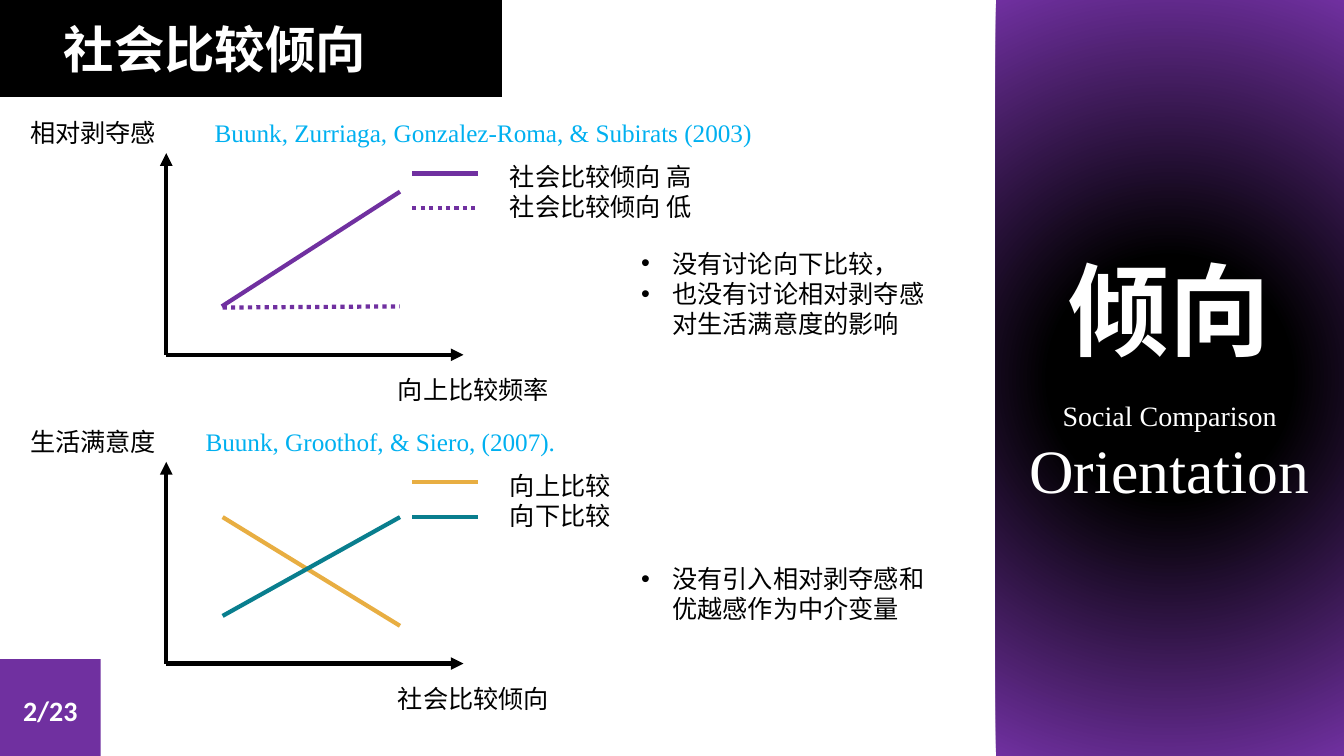
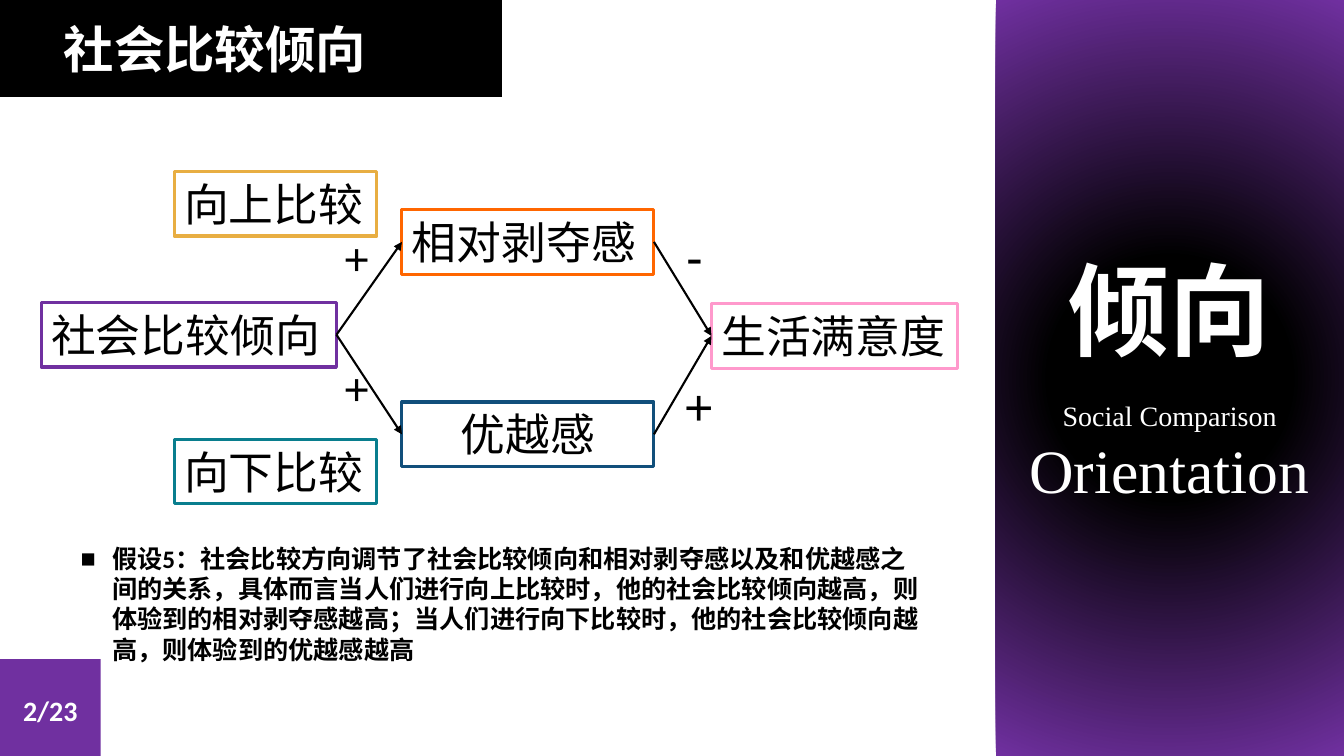
from lxml import etree
from pptx import Presentation
from pptx import util as u
from pptx.dml.color import RGBColor
from pptx.enum import dml, shapes, text
from pptx.oxml import ns

color = RGBColor.from_string
BLACK, WHITE, PURPLE = "000000", "FFFFFF", "7030A0"
GOLD, TEAL, SKY = "E8AE42", "097E8E", "00B0F0"

TITLE = {"size": u.Pt(36), "name": "Times New Roman", "bold": True, "color": WHITE}
NUMBER = {"size": u.Pt(20), "name": "Calibri", "bold": True, "color": WHITE}
LABEL = {"size": u.Pt(18), "name": "Calibri", "bold": False, "color": BLACK}
CITATION = {**LABEL, "name": "Times New Roman", "color": SKY}
HYPOTHESIS = {**LABEL, "bold": True}
NODE = {"size": u.Pt(32), "name": "Arial", "bold": False, "color": BLACK}
SIDE_STYLES = [
    {"size": u.Pt(72), "name": "Arial", "bold": True, "color": WHITE},
    {**TITLE, "size": u.Pt(20), "bold": False},
    {**TITLE, "size": u.Pt(44), "bold": False},
]


def write(box, at, lines, styles, align=text.PP_ALIGN.LEFT, bullet=None):
    """Place a box and fill it with one paragraph per line."""
    for side, length in zip(("left", "top", "width", "height"), at):
        setattr(box, side, u.Cm(length))
    frame = box.text_frame
    frame.word_wrap = True
    frame.auto_size = text.MSO_AUTO_SIZE.SHAPE_TO_FIT_TEXT
    frame.vertical_anchor = text.MSO_ANCHOR.TOP
    if isinstance(styles, dict):
        styles = [styles] * len(lines)
    for index, (line, style) in enumerate(zip(lines, styles)):
        para = frame.add_paragraph() if index else frame.paragraphs[0]
        para.alignment = align
        para.space_before = u.Pt(0)
        span = para.add_run()
        span.text = line
        for key, value in style.items():
            if key == "color":
                span.font.color.rgb = color(value)
            else:
                setattr(span.font, key, value)
        if bullet:
            props = para._p.get_or_add_pPr()
            props.set("marL", str(u.Cm(0.79)))
            props.set("indent", str(-u.Cm(0.79)))
            etree.SubElement(props, ns.qn("a:buFont"), typeface="Arial")
            etree.SubElement(props, ns.qn("a:buChar"), char=bullet)
    return box


def draw_line(page, points, hue, width, arrow=False, dotted=False):
    """Draw a straight line, with an arrowhead at its end on demand."""
    line = page.shapes.add_connector(shapes.MSO_CONNECTOR.STRAIGHT, *map(u.Cm, points))
    line.line.color.rgb = color(hue)
    line.line.width = u.Pt(width)
    if dotted:
        line.line.dash_style = dml.MSO_LINE.ROUND_DOT
    if arrow:
        etree.SubElement(line.get_or_add_ln(), ns.qn("a:tailEnd"), type="triangle")
    etree.SubElement(line.element.spPr, ns.qn("a:effectLst"))
    return line


deck = Presentation()
deck.slide_width, deck.slide_height = u.Cm(33.87), u.Cm(19.05)
graphs_page = deck.slides.add_slide(deck.slide_layouts[3])
model_page = deck.slides.add_slide(deck.slide_layouts[1])

# Bands, title, page number and side heading of both slides
BANDS = [
    ((0, 0, 12.65, 2.44), BLACK),
    ((25.1, 0, 8.77, 19.05), None),
    ((0, 16.61, 2.54, 2.44), PURPLE),
]
for page in (graphs_page, model_page):
    for at, hue in BANDS:
        band = page.shapes.add_shape(shapes.MSO_SHAPE.RECTANGLE, *map(u.Cm, at))
        band.shadow.inherit = False
        band.line.fill.background()
        if hue:
            band.fill.solid()
            band.fill.fore_color.rgb = color(hue)
            continue
        band.fill.gradient()
        for stop, (position, shade) in zip(band.fill.gradient_stops, [(0.29, BLACK), (1, PURPLE)]):
            stop.position = position
            stop.color.rgb = color(shade)
        linear = band.element.spPr.find(".//" + ns.qn("a:lin"))
        radial = etree.Element(ns.qn("a:path"), path="circle")
        etree.SubElement(radial, ns.qn("a:fillToRect"), l="50000", t="50000", r="50000", b="50000")
        linear.getparent().replace(linear, radial)

    title = page.shapes.title
    page.shapes.element.append(title.element)  # bring in front of the band
    write(title, (1.35, 0.33, 8.43, 1.8), ["社会比较倾向"], TITLE)
    center = text.PP_ALIGN.CENTER
    box = page.shapes.add_textbox(0, 0, 0, 0)
    write(box, (0, 17.35, 2.54, 1.12), ["2/23"], NUMBER, center)
    box = page.shapes.add_textbox(0, 0, 0, 0)
    write(box, (25.58, 6.12, 7.8, 6.81), ["倾向", "Social Comparison", "Orientation"], SIDE_STYLES, center)
    box.text_frame.paragraphs[1].line_spacing = u.Pt(45)

# Slide 1: two line graphs, one below the other
GRAPHS = [
    {
        "axes": ("相对剥夺感", "向上比较频率"),
        "legend": ["社会比较倾向 高", "社会比较倾向 低"],
        "series": [
            ((5.59, 7.72, 10.08, 4.83), PURPLE, False),
            ((5.61, 7.75, 10.08, 7.72), PURPLE, True),
        ],
        "citation": (5.16, "Buunk, Zurriaga, Gonzalez-Roma, & Subirats (2003)"),
    },
    {
        "axes": ("生活满意度", "社会比较倾向"),
        "legend": ["向上比较", "向下比较"],
        "series": [
            ((5.61, 5.25, 10.08, 7.99), GOLD, False),
            ((5.61, 7.74, 10.08, 5.25), TEAL, False),
        ],
        "citation": (4.93, "Buunk, Groothof, & Siero, (2007)."),
    },
]
for index, graph in enumerate(GRAPHS):
    top = index * 7.78
    base = top + 8.94
    draw_line(graphs_page, (4.19, base, 11.68, base), BLACK, 3, arrow=True)
    draw_line(graphs_page, (4.19, base, 4.19, top + 3.86), BLACK, 3, arrow=True)
    for row, ((x1, y1, x2, y2), hue, dotted) in enumerate(graph["series"]):
        key_y = top + 4.37 + row * 0.87
        draw_line(graphs_page, (10.39, key_y, 12.04, key_y), hue, 3, dotted=dotted)
        draw_line(graphs_page, (x1, top + y1, x2, top + y2), hue, 3, dotted=dotted)
    y_title, x_title = graph["axes"]
    cite_left, citation = graph["citation"]
    for at, lines, style in [
        ((0.51, top + 2.84, 3.96, 1.02), [y_title], LABEL),
        ((9.78, top + 9.32, 4.45, 1.02), [x_title], LABEL),
        ((12.6, top + 3.94, 5.28, 1.8), graph["legend"], LABEL),
        ((cite_left, top + 2.83, 14.35, 1.02), [citation], CITATION),
    ]:
        write(graphs_page.shapes.add_textbox(0, 0, 0, 0), at, lines, style)

# Slide 1: remarks beside the graphs
REMARKS = [
    (6.12, 2.57, ["没有讨论向下比较，", "也没有讨论相对剥夺感对生活满意度的影响"]),
    (14.07, 1.8, ["没有引入相对剥夺感和优越感作为中介变量"]),
]
for number, (top, height, lines) in enumerate(REMARKS, start=1):
    body = graphs_page.placeholders[number]
    write(body, (15.9, top, 7.85, height), lines, LABEL, bullet="•")

# Slide 2: hypothesis
write(
    model_page.placeholders[1],
    (1.78, 13.56, 21.74, 3.33),
    ["假设5：社会比较方向调节了社会比较倾向和相对剥夺感以及和优越感之间的关系，"
     "具体而言当人们进行向上比较时，他的社会比较倾向越高，则体验到的相对剥夺感越高；"
     "当人们进行向下比较时，他的社会比较倾向越高，则体验到的优越感越高"],
    HYPOTHESIS,
    bullet="■",
)

# Slide 2: boxes of the model
NODES = [
    ("向上比较", 4.39, 4.32, 5.11, GOLD),
    ("向下比较", 4.39, 11.07, 5.11, TEAL),
    ("社会比较倾向", 1.04, 7.62, 7.44, PURPLE),
    ("相对剥夺感", 10.13, 5.28, 6.35, "FF6600"),
    ("优越感", 10.13, 10.13, 6.35, "114F7B"),
    ("生活满意度", 17.93, 7.65, 6.2, "FF99CC"),
]
nodes = {}
for name, left, top, width, hue in NODES:
    box = model_page.shapes.add_shape(shapes.MSO_SHAPE.RECTANGLE, 0, 0, 0, 0)
    box.shadow.inherit = False
    box.fill.background()
    box.line.color.rgb = color(hue)
    box.line.width = u.Pt(2.25)
    align = text.PP_ALIGN.CENTER if name == "优越感" else text.PP_ALIGN.LEFT
    nodes[name] = write(box, (left, top, width, 1.63), [name], NODE, align)

# Slide 2: arrows and their signs
for start, end in [
    ("社会比较倾向", "相对剥夺感"),
    ("社会比较倾向", "优越感"),
    ("相对剥夺感", "生活满意度"),
    ("优越感", "生活满意度"),
]:
    arrow = draw_line(model_page, (0, 0, 0, 0), BLACK, 1.5, arrow=True)
    arrow.begin_connect(nodes[start], 3)
    arrow.end_connect(nodes[end], 1)

for sign, left, top, size in [
    ("+", 8.41, 5.69, 32),
    ("+", 8.41, 8.97, 32),
    ("-", 17.04, 5.54, 36),
    ("+", 16.99, 9.32, 36),
]:
    box = model_page.shapes.add_textbox(0, 0, 0, 0)
    write(box, (left, top, 1.09, 1.63), [sign], {**NODE, "size": u.Pt(size)})

deck.save("out.pptx")
